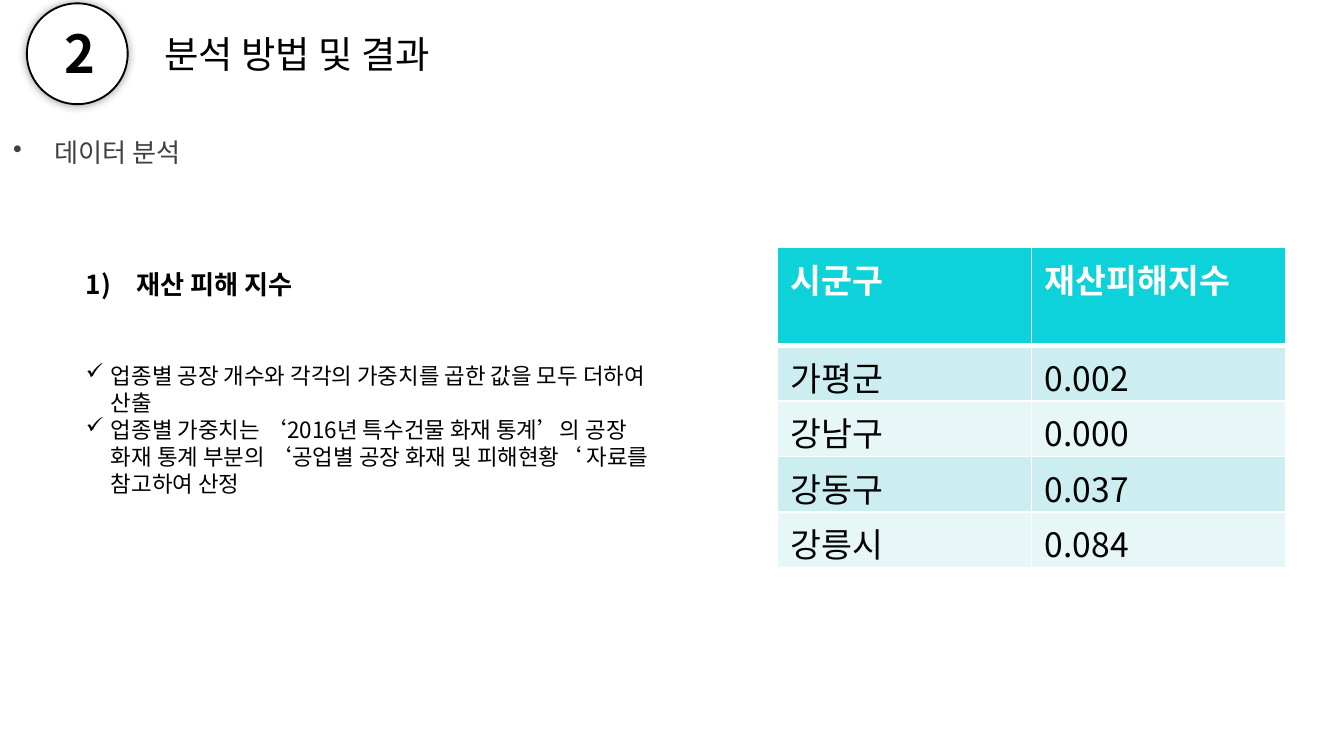
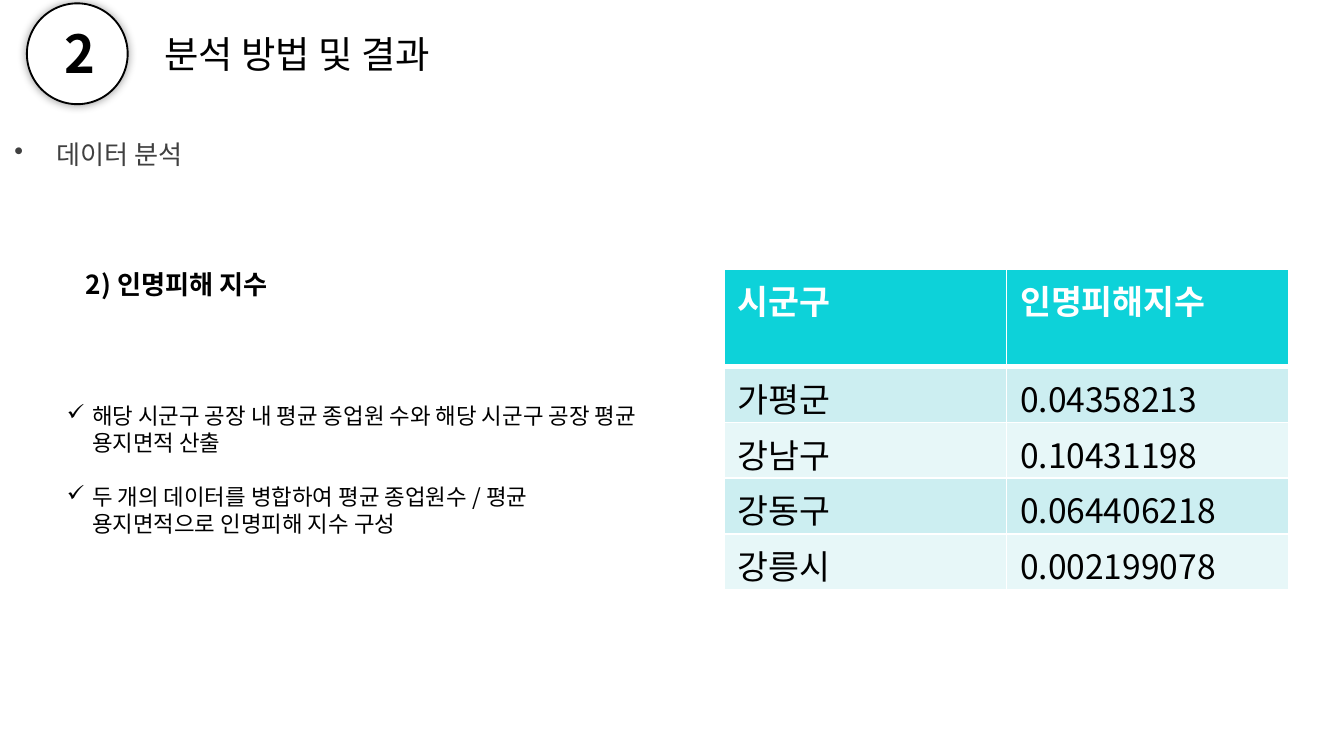
from lxml import etree
from pptx import Presentation
from pptx.dml.color import RGBColor
from pptx.enum.shapes import MSO_SHAPE
from pptx.enum.text import MSO_ANCHOR, PP_ALIGN
from pptx.oxml.ns import qn
from pptx.util import Inches, Pt

OVAL = MSO_SHAPE.OVAL
MIDDLE = MSO_ANCHOR.MIDDLE
LEFT, CENTER = PP_ALIGN.LEFT, PP_ALIGN.CENTER

BLACK = RGBColor(0x00, 0x00, 0x00)
WHITE = RGBColor(0xFF, 0xFF, 0xFF)
GRAY = RGBColor(0x40, 0x40, 0x40)
TEAL = RGBColor(0x0D, 0xD2, 0xD9)
BANDS = (RGBColor(0xCC, 0xEE, 0xF1), RGBColor(0xE7, 0xF7, 0xF8))

FONT = "Noto Sans CJK KR"
COLS, ROWS = 100, 56.25  # square grid cells
CELL = Inches(0.1)
LIST_PITCH = 14.5
HEAD_ROW, BODY_ROW = 7.3, 4.14
CITIES = ("가평군", "강남구", "강동구", "강릉시")


def grid(n):
    return round(n * CELL)


def add_xml(parent, tag, **attrs):
    return etree.SubElement(parent, qn(tag), attrs)


class Deck:
    def __init__(self):
        self.prs = Presentation()
        self.prs.slide_width, self.prs.slide_height = grid(COLS), grid(ROWS)
        self.s = None

    def new_slide(self):
        self.s = self.prs.slides.add_slide(self.prs.slide_layouts[6])

    def run(self, p, text, size, color=BLACK, bold=False):
        r = p.add_run()
        r.text = text
        f = r.font
        f.name, f.size, f.bold = FONT, Pt(size), bold
        f.color.rgb = color
        add_xml(r._r.get_or_add_rPr(), "a:ea", typeface=FONT)

    def bullet(self, p, mark, hang):
        """Hang the paragraph behind a character, or a number when mark is None."""
        pPr = p._p.get_or_add_pPr()
        pPr.set("marL", str(grid(hang)))
        pPr.set("indent", str(-grid(hang)))
        if mark:
            add_xml(pPr, "a:buChar", char=mark)
        else:
            add_xml(pPr, "a:buAutoNum", type="arabicParenR")

    def text(self, box, lines, size, color=BLACK, bold=False, align=LEFT,
             hang=0, mark=None, pitch=None, gap=0):
        tf = self.s.shapes.add_textbox(*map(grid, box)).text_frame
        tf.word_wrap = True
        tf.vertical_anchor = MIDDLE
        for i, line in enumerate(lines):
            p = tf.add_paragraph() if i else tf.paragraphs[0]
            p.alignment = align
            if pitch:
                p.line_spacing = Pt(pitch)
            if i and gap:
                p.space_before = Pt(gap)
            if hang:
                self.bullet(p, mark, hang)
            self.run(p, line, size, color, bold)

    def badge(self, box):
        sp = self.s.shapes.add_shape(OVAL, *map(grid, box))
        sp.shadow.inherit = False
        sp.fill.solid()
        sp.fill.fore_color.rgb = WHITE
        sp.line.color.rgb = BLACK
        sp.line.width = Pt(1)
        effects = sp._element.spPr.find(qn("a:effectLst"))
        glow = add_xml(effects, "a:outerShdw", blurRad=str(Pt(5)), dist="0", dir="0",
                       algn="ctr", rotWithShape="0")
        clr = add_xml(glow, "a:srgbClr", val=str(BLACK))
        add_xml(clr, "a:alpha", val="40000")

    def borders(self, cell, top, bottom):
        tcPr = cell._tc.get_or_add_tcPr()
        for side, width in (("L", 1), ("R", 1), ("T", top), ("B", bottom)):
            ln = add_xml(tcPr, "a:ln" + side, w=str(Pt(width)))
            add_xml(add_xml(ln, "a:solidFill"), "a:srgbClr", val=str(WHITE))

    def table(self, left, top, width, records):
        height = HEAD_ROW + BODY_ROW * (len(records) - 1)
        box = map(grid, (left, top, width, height))
        tbl = self.s.shapes.add_table(len(records), 2, *box).table
        for col in tbl.columns:
            col.width = grid(width / 2)
        for i, record in enumerate(records):
            head = i == 0
            tbl.rows[i].height = grid(HEAD_ROW if head else BODY_ROW)
            for j, value in enumerate(record):
                cell = tbl.cell(i, j)
                cell.margin_bottom = 0
                self.borders(cell, 3 if i == 1 else 1, 3 if head else 1)
                cell.fill.solid()
                cell.fill.fore_color.rgb = TEAL if head else BANDS[(i - 1) % 2]
                self.run(cell.text_frame.paragraphs[0], value, 18,
                         WHITE if head else BLACK, head)

    def header(self):
        self.text((10.6, 1.8, 62.8, 4.4), [" 분석 방법 및 결과"], 20)
        self.badge((2, 0.25, 7.5, 7.5))
        self.text((3.6, 1.1, 4.7, 5.7), ["2"], 28, bold=True, align=CENTER)

    def index_slide(self, topic_at, heading, heading_hang, notes_at, notes, gap,
                    table_at, index_name, values):
        self.new_slide()
        self.text((*topic_at, COLS, 3.1), ["데이터 분석"], 14, GRAY, hang=3.1, mark="•")
        self.text((*notes_at, 44.6, 11.1), notes, 12, hang=1.87, mark="✓",
                  pitch=LIST_PITCH, gap=gap)
        self.text((5.4, 19.4, 45.7, 3.4), [heading], 14, bold=True, hang=heading_hang)
        self.table(*table_at, [("시군구", index_name), *zip(CITIES, values)])
        self.header()


def main():
    deck = Deck()
    deck.index_slide(
        (0, 9.8), "재산 피해 지수", 3.75, (5.4, 26.4),
        ["업종별 공장 개수와 각각의 가중치를 곱한 값을 모두 더하여 산출",
         "업종별 가중치는 ‘2016년 특수건물 화재 통계’의 공장 화재 통계 부분의 "
         "‘공업별 공장 화재 및 피해현황‘ 자료를 참고하여 산정"],
        0, (57.8, 18.4, 37.9), "재산피해지수", ("0.002", "0.000", "0.037", "0.084"))
    deck.index_slide(
        (0.1, 9.9), "2) 인명피해 지수", 0, (4, 29.4),
        ["해당 시군구 공장 내 평균 종업원 수와 해당 시군구 공장 평균 용지면적 산출",
         "두 개의 데이터를 병합하여 평균 종업원수 / 평균 용지면적으로 인명피해 지수 구성"],
        LIST_PITCH, (53.9, 20, 42), "인명피해지수",
        ("0.04358213", "0.10431198", "0.064406218", "0.002199078"))
    deck.prs.save("out.pptx")


if __name__ == "__main__":
    main()
